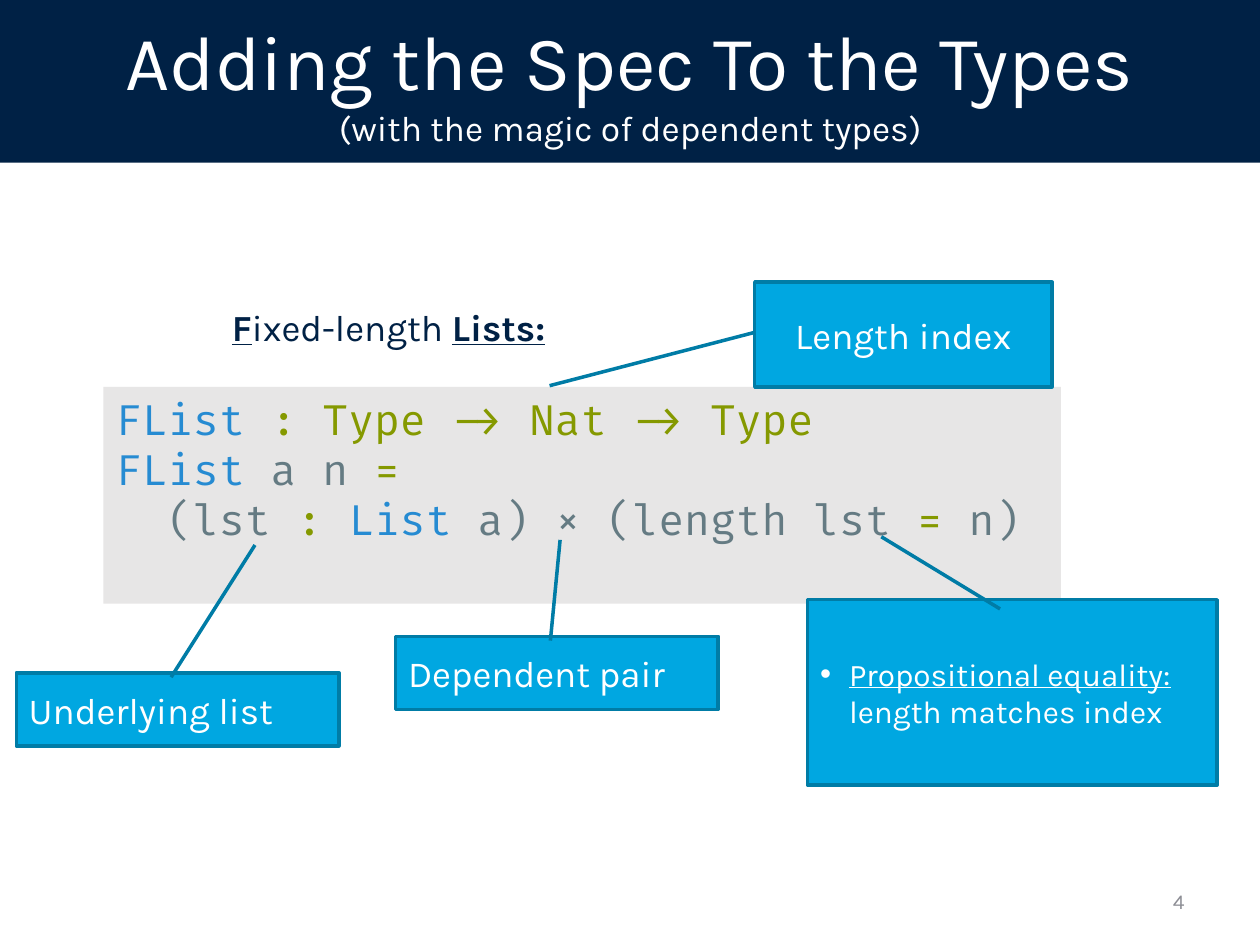
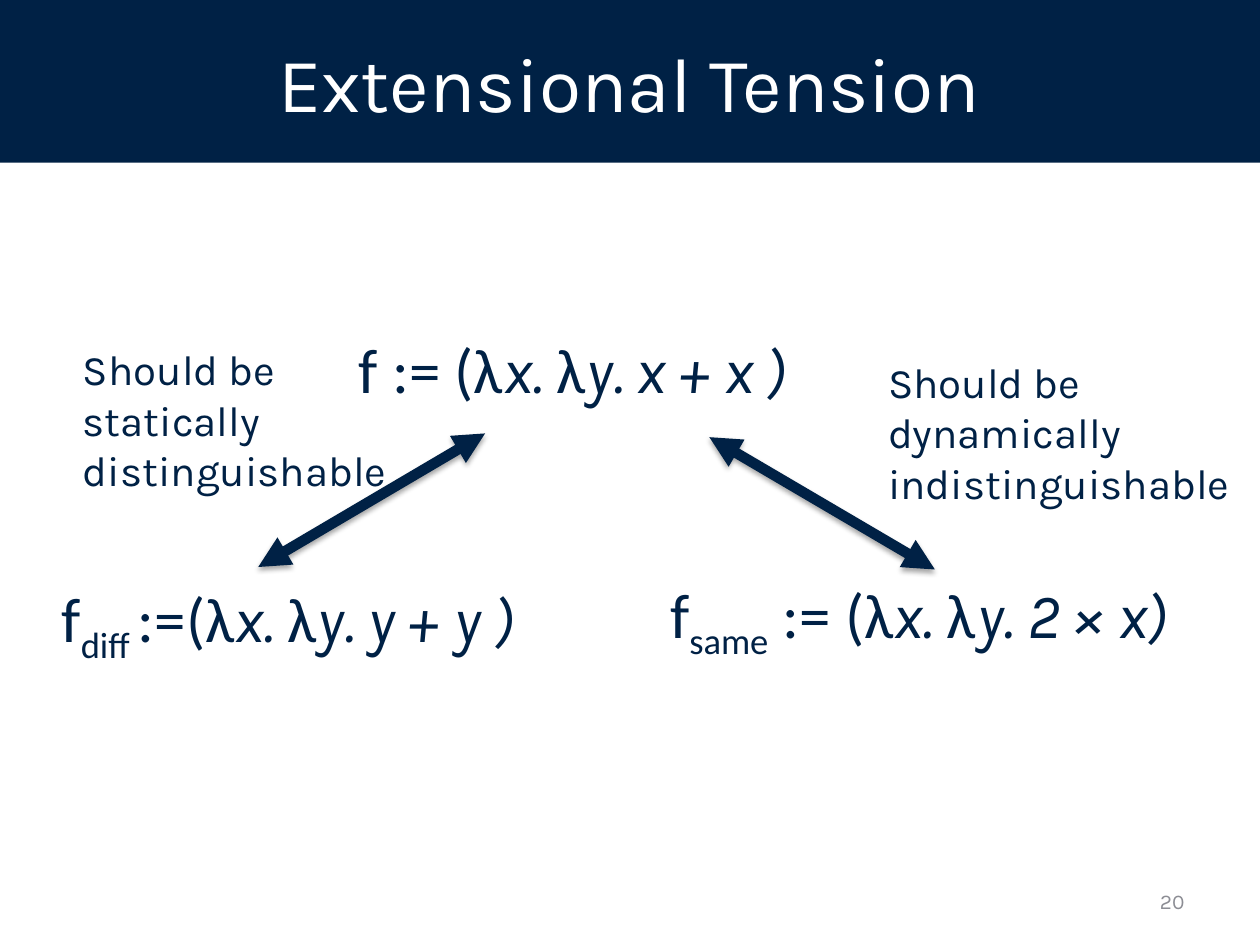
"""Build two slides on dependent types and extensional equality."""
from lxml.etree import SubElement
from pptx import Presentation
from pptx.dml.color import RGBColor
from pptx.enum.shapes import MSO_CONNECTOR, MSO_SHAPE
from pptx.enum.text import MSO_ANCHOR, MSO_AUTO_SIZE, PP_ALIGN
from pptx.oxml.ns import qn
from pptx.util import Inches, Pt

WIDE, HIGH = 10, 7.5
HUES = {
    "navy": "002145", "white": "FFFFFF", "cyan": "00A7E1", "edge": "007CA6",
    "panel": "E7E6E6", "grey": "8C8D94", "name": "268BD2", "sign": "859900",
    "term": "657B83",
}
KARLA, CODE, MATH = "Karla", "Fira Code", "Calibri"
BAND = (0, 0, WIDE, 1.29)
PAGE = (7.17, 6.95, 2.33, 0.4)

TYPES = {
    "title": [("Adding the Spec To the Types", 44), ("(with the magic of dependent types)", 20.2)],
    "page": "4",
}
TENSION = {"title": [("Extensional Tension", 44)], "page": "20"}

LABEL = [("F", True), ("ixed-length ", False), ("Lists:", True)]
LABEL_AT = (1.77, 2.45, 2.77, 0.36)
LINES = [
    [("FList ", "name"), (": Type -> Nat -> Type", "sign")],
    [("FList", "name"), (" a n ", "term"), ("=", "sign")],
    [("  (lst ", "term"), (": ", "sign"), ("List", "name"),
     (" a) × (length lst ", "term"), ("=", "sign"), (" n)", "term")],
]
LINES_AT = (0.82, 3.07, 7.6, 1.72)
NOTE = (2.56, 0.58)
CALLOUTS = [
    ("Length index", (5.99, 2.24, 2.36, 0.83), (0.48, 0, 0.99, -0.69), PP_ALIGN.CENTER),
    ("Dependent pair", (3.14, 5.05, *NOTE), (-1.32, 0.51, 0.06, 0.48), PP_ALIGN.LEFT),
    ("Underlying list", (0.13, 5.34, *NOTE), (-1.75, 0.74, 0.06, 0.48), PP_ALIGN.LEFT),
]
EQUAL = ("Propositional equality: ", "length matches index")
EQUAL_AT, EQUAL_TIP = (6.41, 4.76, 3.25, 1.47), (-0.34, 0.18, 0.05, 0.47)

TERMS = [
    ("f", "diff ", ":=(λ", "y. y + y )", (0.39, 4.55, 4.17, 0.71)),
    ("f", "", " := (λ", "y. x + x )", (2.75, 2.57, 3.97, 0.71)),
    ("f", "same", " := (λ", "y. 2 × x)", (5.22, 4.52, 4.56, 0.71)),
]
CLAIMS = [
    ("Should be statically distinguishable", (0.56, 2.68), (2.05, 4.5, 3.85, 3.44)),
    ("Should be dynamically indistinguishable", (6.95, 2.78), (7.42, 4.52, 5.63, 3.47)),
]
CLAIM = (2.98, 1.31)


def hue(key):
    return RGBColor.from_string(HUES[key])


def inch(place):
    return [Inches(n) for n in place]


def ink(para, text, size, color="navy", font=KARLA, bold=None, under=None, slant=None, base=0):
    run = para.add_run()
    run.text = text
    face = run.font
    face.size, face.name, face.color.rgb = Pt(size), font, hue(color)
    face.bold, face.underline, face.italic = bold, under, slant
    if base:
        run._r.get_or_add_rPr().set("baseline", str(base * 1000))


def text(slide, place):
    frame = slide.shapes.add_textbox(*inch(place)).text_frame
    frame.word_wrap = True
    return frame


def block(slide, kind, place, fill):
    shape = slide.shapes.add_shape(kind, *inch(place))
    shape.shadow.inherit = False
    shape.fill.solid()
    shape.fill.fore_color.rgb = hue(fill)
    shape.line.fill.background()
    return shape


def callout(slide, place, tip, align):
    shape = block(slide, MSO_SHAPE.LINE_CALLOUT_1, place, "cyan")
    shape.line.color.rgb, shape.line.width = hue("edge"), Pt(2)
    for i, value in enumerate(tip):
        shape.adjustments[i] = value
    shape.text_frame.vertical_anchor = MSO_ANCHOR.MIDDLE
    para = shape.text_frame.paragraphs[0]
    para.alignment = align
    return para


def bullet(para):
    props = para._p.get_or_add_pPr()
    step = Inches(0.23)
    props.set("marL", str(step))
    props.set("indent", str(-step))
    SubElement(props, qn("a:buFont"), typeface="Arial")
    SubElement(props, qn("a:buChar"), char="•")


def arrow(slide, ends):
    link = slide.shapes.add_connector(MSO_CONNECTOR.STRAIGHT, *inch(ends))
    link.line.color.rgb, link.line.width = hue("navy"), Pt(6)
    line = link.line._get_or_add_ln()
    for end in ("a:headEnd", "a:tailEnd"):
        SubElement(line, qn(end), type="triangle")
    effects = SubElement(link._element.spPr, qn("a:effectLst"))
    shade = SubElement(effects, qn("a:outerShdw"), blurRad=str(Pt(3.1)),
                       dist=str(Pt(1.8)), dir="5400000", rotWithShape="0")
    tone = SubElement(shade, qn("a:srgbClr"), val="000000")
    SubElement(tone, qn("a:alpha"), val="35000")


def start(deck, data):
    slide = deck.slides.add_slide(deck.slide_layouts[5])
    title = slide.shapes.title
    title.left, title.top, title.width, title.height = inch(BAND)
    title.fill.solid()
    title.fill.fore_color.rgb = hue("navy")
    frame = title.text_frame
    frame.auto_size, frame.vertical_anchor = MSO_AUTO_SIZE.NONE, MSO_ANCHOR.MIDDLE
    para = frame.paragraphs[0]
    para.alignment = PP_ALIGN.CENTER
    for i, (words, size) in enumerate(data["title"]):
        if i:
            para.add_line_break()
        ink(para, words, size, "white")
    foot = text(slide, PAGE)
    foot.vertical_anchor = MSO_ANCHOR.MIDDLE
    foot.paragraphs[0].alignment = PP_ALIGN.RIGHT
    ink(foot.paragraphs[0], data["page"], 12, "grey")
    return slide


def types(deck):
    slide = start(deck, TYPES)
    frame = block(slide, MSO_SHAPE.RECTANGLE, LINES_AT, "panel").text_frame
    frame.vertical_anchor = MSO_ANCHOR.TOP
    for i, parts in enumerate(LINES):
        para = frame.add_paragraph() if i else frame.paragraphs[0]
        para.alignment = PP_ALIGN.LEFT
        for words, color in parts:
            ink(para, words, 24, color, CODE)
    for words, place, tip, align in CALLOUTS:
        ink(callout(slide, place, tip, align), words, 21, "white")
    para = callout(slide, EQUAL_AT, EQUAL_TIP, PP_ALIGN.LEFT)
    bullet(para)
    for words, under in zip(EQUAL, (True, False)):
        ink(para, words, 18, "white", under=under)
    frame = text(slide, LABEL_AT)
    frame.margin_left = frame.margin_right = Inches(0.07)
    frame.margin_top = frame.margin_bottom = Inches(0.04)
    para = frame.paragraphs[0]
    para.line_spacing, para.space_before = 0.8, Pt(10)
    for words, strong in LABEL:
        ink(para, words, 21, bold=strong, under=strong)


def tension(deck):
    slide = start(deck, TENSION)
    for name, sub, bind, body, place in TERMS:
        para = text(slide, place).paragraphs[0]
        ink(para, name, 36, font=MATH)
        if sub:
            ink(para, sub, 36, font=MATH, base=-25)
        for head, tail in ((bind, "x."), (" λ", body)):
            ink(para, head, 36, font=MATH)
            ink(para, tail, 36, slant=True)
    for words, spot, ends in CLAIMS:
        arrow(slide, ends)
        ink(text(slide, (*spot, *CLAIM)).paragraphs[0], words, 24)


def main():
    deck = Presentation()
    deck.slide_width, deck.slide_height = inch((WIDE, HIGH))
    types(deck)
    tension(deck)
    deck.save("out.pptx")


if __name__ == "__main__":
    main()
